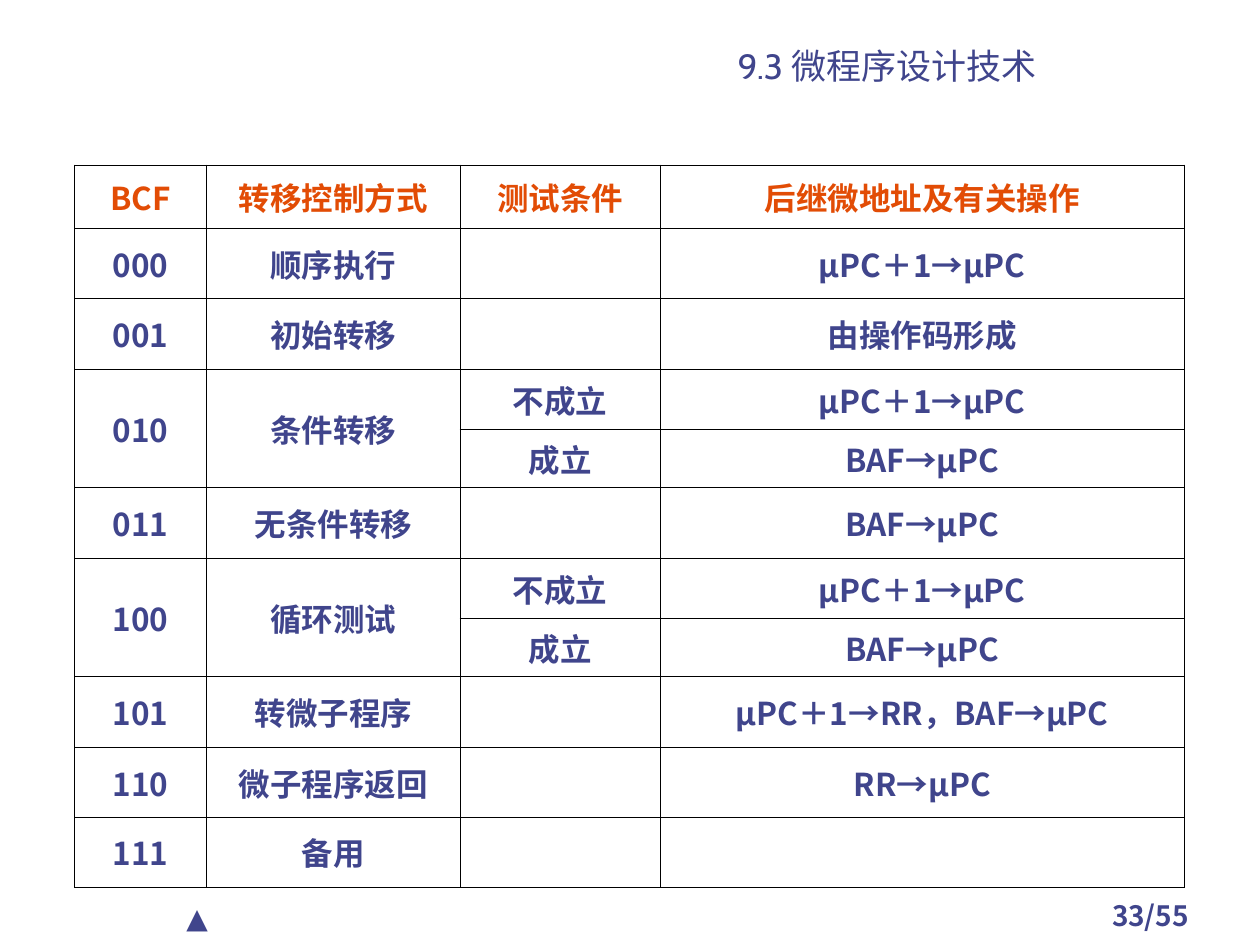
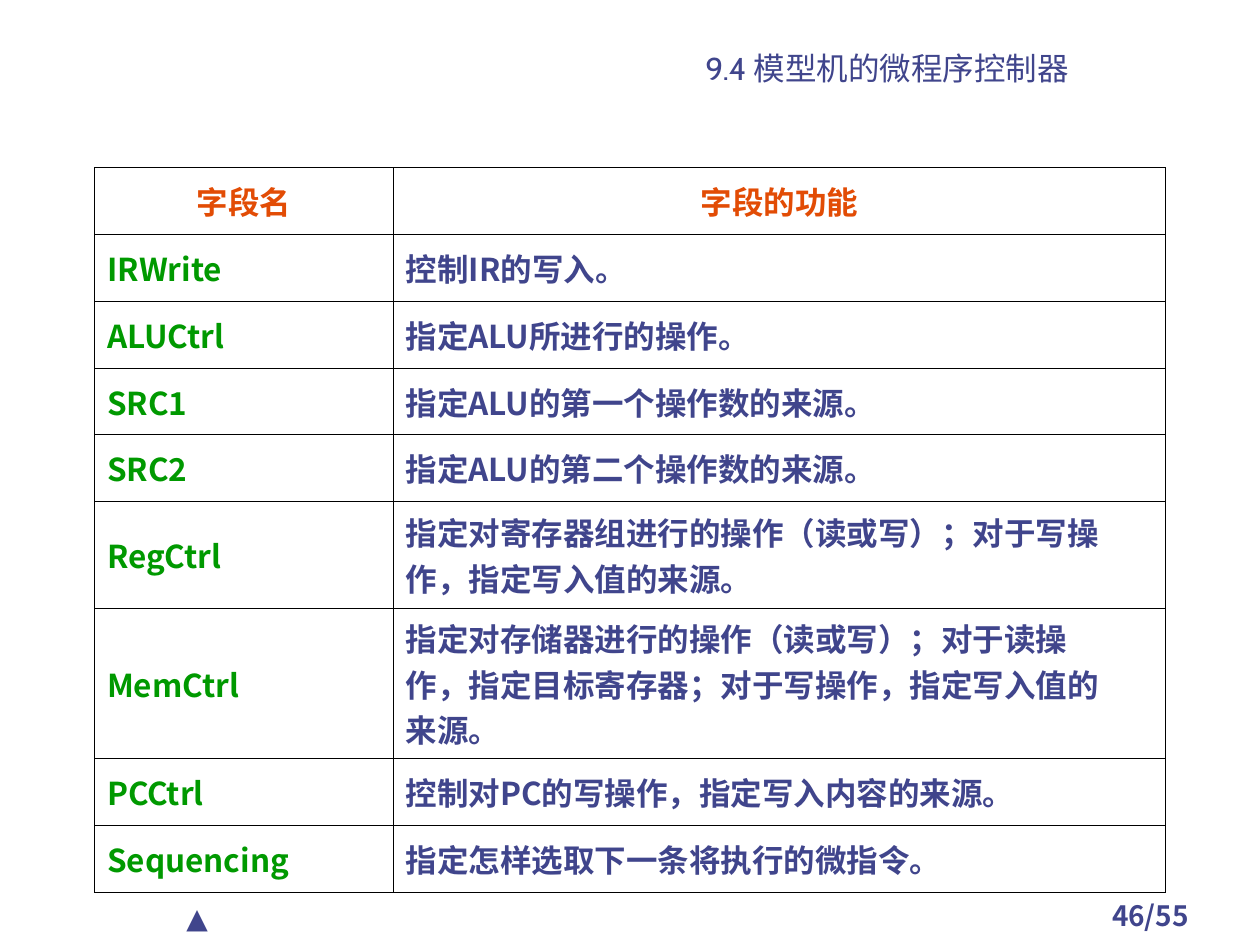
from dataclasses import dataclass
from itertools import product
from typing import NamedTuple, Optional

from lxml import etree
from pptx import Presentation
from pptx import util as u
from pptx.dml.color import RGBColor
from pptx.enum import text as t
from pptx.oxml.ns import qn

GRID_COLUMNS, GRID_ROWS = 100, 75
SLIDE_WIDTH, SLIDE_HEIGHT = u.Inches(10), u.Inches(7.5)
PAGE_COUNT = 55
CENTER, LEFT = t.PP_ALIGN.CENTER, t.PP_ALIGN.LEFT
TOP, MIDDLE, BOTTOM = (t.MSO_ANCHOR.TOP, t.MSO_ANCHOR.MIDDLE,
                       t.MSO_ANCHOR.BOTTOM)


@dataclass(frozen=True)
class Theme:
    ink: str = "40458C"
    heading: str = "E24C05"
    field: str = "009900"
    rule: str = "000000"
    rule_width: float = 0.45
    latin: str = "Cabin"
    cjk: str = "Noto Sans CJK SC"
    table_size: int = 18
    footer_size: int = 16


THEME = Theme()


class Area(NamedTuple):
    """A place on the slide, in grid columns and rows."""
    left: float
    top: float
    width: float
    height: float


TITLE_AREA = Area(42.5, 2.7, 55.8, 4.2)
PAGE_AREA = Area(84.2, 70.8, 14.2, 3.3)
MARK_AREA = Area(13.8, 71, 14.2, 3.7)


class Column(NamedTuple):
    width: float
    align: t.PP_ALIGN = CENTER
    color: str = THEME.ink


@dataclass(frozen=True)
class Lesson:
    title: str
    title_size: int
    page: int
    left: float
    top: float
    columns: list[Column]
    row_heights: list[float]
    rows: list[list[Optional[str]]]  # None continues the cell above


BRANCH_TAKEN = "BAF→μPC"
NEXT_ADDRESS = "μPC＋1→μPC"

LESSONS = [
    Lesson(
        "9.3 微程序设计技术", 20, 33, 5.9, 13.1,
        [Column(10.5), Column(20.1), Column(15.9), Column(41.6)],
        [5, 5.6, 5.6, 4.8, 4.6, 5.6, 4.8, 4.6, 5.6, 5.6, 5.5],
        [
            ["BCF", "转移控制方式", "测试条件", "后继微地址及有关操作"],
            ["000", "顺序执行", "", NEXT_ADDRESS],
            ["001", "初始转移", "", "由操作码形成"],
            ["010", "条件转移", "不成立", NEXT_ADDRESS],
            [None, None, "成立", BRANCH_TAKEN],
            ["011", "无条件转移", "", BRANCH_TAKEN],
            ["100", "循环测试", "不成立", NEXT_ADDRESS],
            [None, None, "成立", BRANCH_TAKEN],
            ["101", "转微子程序", "", "μPC＋1→RR，BAF→μPC"],
            ["110", "微子程序返回", "", "RR→μPC"],
            ["111", "备用", "", ""],
        ],
    ),
    Lesson(
        "9.4 模型机的微程序控制器", 18, 46, 7.5, 13.3,
        [Column(23.7, LEFT, THEME.field), Column(61.3, LEFT)],
        [5.3] * 5 + [8.5, 11.9] + [5.3] * 2,
        [
            ["字段名", "字段的功能"],
            ["IRWrite", "控制IR的写入。"],
            ["ALUCtrl", "指定ALU所进行的操作。"],
            ["SRC1", "指定ALU的第一个操作数的来源。"],
            ["SRC2", "指定ALU的第二个操作数的来源。"],
            ["RegCtrl", "指定对寄存器组进行的操作（读或写）；对于写操\n"
                        "作，指定写入值的来源。"],
            ["MemCtrl", "指定对存储器进行的操作（读或写）；对于读操\n"
                        "作，指定目标寄存器；对于写操作，指定写入值的\n"
                        "来源。"],
            ["PCCtrl", "控制对PC的写操作，指定写入内容的来源。"],
            ["Sequencing", "指定怎样选取下一条将执行的微指令。"],
        ],
    ),
]


def across(columns: float) -> u.Emu:
    return u.Emu(round(SLIDE_WIDTH * columns / GRID_COLUMNS))


def down(rows: float) -> u.Emu:
    return u.Emu(round(SLIDE_HEIGHT * rows / GRID_ROWS))


def place(area: Area) -> tuple[u.Emu, u.Emu, u.Emu, u.Emu]:
    return (across(area.left), down(area.top),
            across(area.width), down(area.height))


def write(frame, content: str, *, size: float, color: str = THEME.ink,
          latin: str = THEME.cjk, bold: bool = False,
          align: t.PP_ALIGN = CENTER, hanging: float = 0) -> None:
    """Fill a text frame, one paragraph for each line of content."""
    frame.word_wrap = True
    for number, line in enumerate(content.split("\n")):
        paragraph = frame.add_paragraph() if number else frame.paragraphs[0]
        paragraph.alignment = align
        if hanging:
            indent = across(hanging)
            properties = paragraph._p.get_or_add_pPr()
            properties.set("marL", str(indent))
            properties.set("indent", str(-indent))
        run = paragraph.add_run()
        run.text = line
        run.font.size = u.Pt(size)
        run.font.bold = bold
        run.font.color.rgb = RGBColor.from_string(color)
        run.font.name = latin
        east_asian = etree.SubElement(run._r.get_or_add_rPr(), qn("a:ea"))
        east_asian.set("typeface", THEME.cjk)


def add_label(slide, area: Area, content: str, *, anchor=TOP,
              margin: Optional[float] = None, **text_format) -> None:
    box = slide.shapes.add_textbox(*place(area))
    frame = box.text_frame
    frame.vertical_anchor = anchor
    if margin is not None:
        frame.margin_left = frame.margin_right = across(margin)
        frame.margin_top = frame.margin_bottom = down(margin)
    write(frame, content, **text_format)


def rule_cell(cell) -> None:
    """Draw a thin line on all four edges of a table cell."""
    properties = cell._tc.get_or_add_tcPr()
    for position, edge in enumerate(("lnL", "lnR", "lnT", "lnB")):
        line = etree.Element(qn(f"a:{edge}"))
        line.set("w", str(u.Pt(THEME.rule_width)))
        fill = etree.SubElement(line, qn("a:solidFill"))
        etree.SubElement(fill, qn("a:srgbClr")).set("val", THEME.rule)
        properties.insert(position, line)


def add_lesson_table(slide, lesson: Lesson) -> None:
    area = Area(lesson.left, lesson.top,
                sum(column.width for column in lesson.columns),
                sum(lesson.row_heights))
    table = slide.shapes.add_table(
        len(lesson.rows), len(lesson.columns), *place(area)).table
    table.first_row = table.horz_banding = False
    for table_column, column in zip(table.columns, lesson.columns):
        table_column.width = across(column.width)
    for table_row, height in zip(table.rows, lesson.row_heights):
        table_row.height = down(height)

    for row, col in product(range(len(lesson.rows)),
                            range(len(lesson.columns))):
        cell, content = table.cell(row, col), lesson.rows[row][col]
        column, is_heading = lesson.columns[col], row == 0
        cell.fill.background()
        rule_cell(cell)
        cell.vertical_anchor = MIDDLE
        if content is None:
            table.cell(row - 1, col).merge(cell)
        elif content:
            write(cell.text_frame, content, size=THEME.table_size, bold=True,
                  color=THEME.heading if is_heading else column.color,
                  align=CENTER if is_heading else column.align, hanging=4.9)


def add_lesson(deck, lesson: Lesson) -> None:
    slide = deck.slides.add_slide(deck.slide_layouts[6])
    add_label(slide, PAGE_AREA, f"{lesson.page}/{PAGE_COUNT}",
              size=THEME.footer_size, bold=True)
    add_label(slide, MARK_AREA, "▲", size=THEME.footer_size,
              latin=THEME.latin, align=LEFT)
    add_label(slide, TITLE_AREA, lesson.title, size=lesson.title_size,
              latin=THEME.latin, anchor=BOTTOM, margin=0)
    add_lesson_table(slide, lesson)


def main() -> None:
    deck = Presentation()
    deck.slide_width, deck.slide_height = SLIDE_WIDTH, SLIDE_HEIGHT
    for lesson in LESSONS:
        add_lesson(deck, lesson)
    deck.save("out.pptx")


if __name__ == "__main__":
    main()
